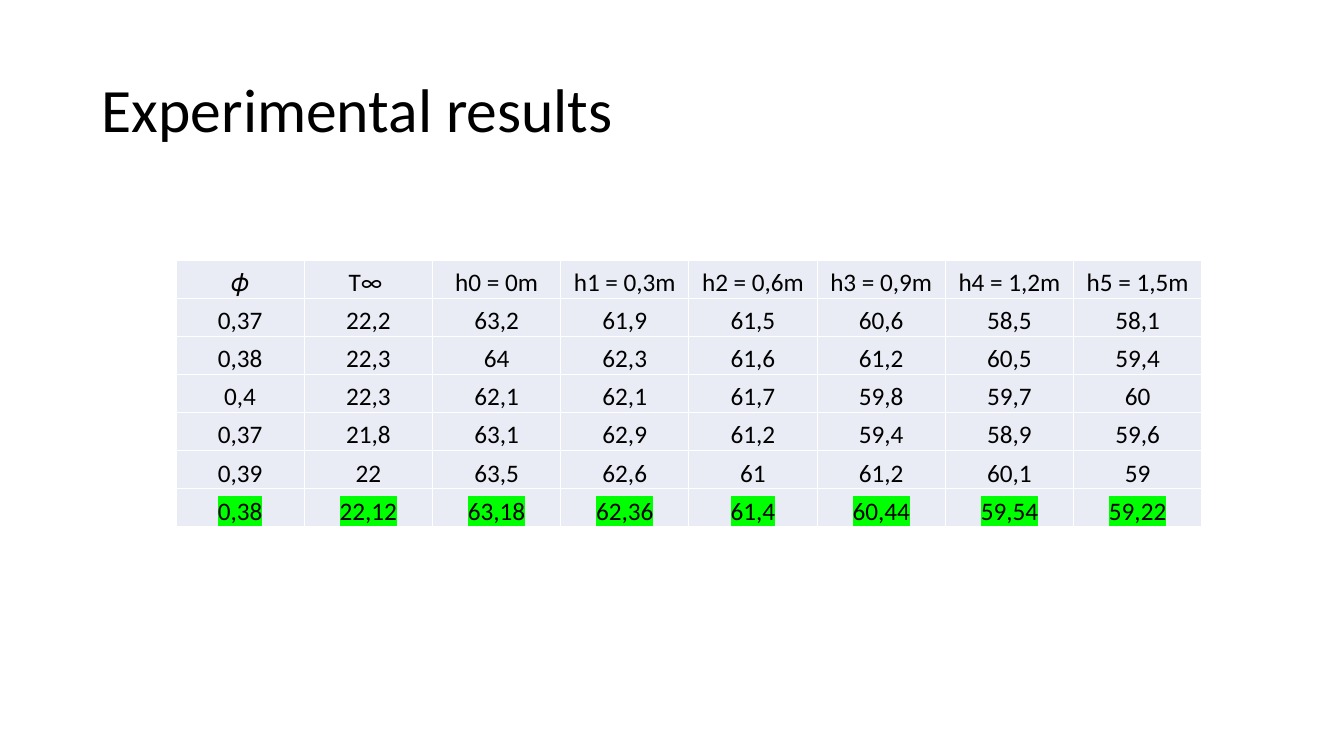
"""Build the slide with the table of experimental results."""
from lxml.etree import SubElement
from pptx import Presentation
from pptx.dml.color import RGBColor
from pptx.enum.text import MSO_ANCHOR, PP_ALIGN
from pptx.oxml.ns import qn
from pptx.util import Emu, Pt

TITLE = "Experimental results"
HEADINGS = ["𝜙", "T∞ ", "h0 = 0m", "h1 = 0,3m", "h2 = 0,6m", "h3 = 0,9m", "h4 = 1,2m", "h5 = 1,5m"]
MEASUREMENTS = [
    ["0,37", "22,2", "63,2", "61,9", "61,5", "60,6", "58,5", "58,1"],
    ["0,38", "22,3", "64", "62,3", "61,6", "61,2", "60,5", "59,4"],
    ["0,4", "22,3", "62,1", "62,1", "61,7", "59,8", "59,7", "60"],
    ["0,37", "21,8", "63,1", "62,9", "61,2", "59,4", "58,9", "59,6"],
    ["0,39", "22", "63,5", "62,6", "61", "61,2", "60,1", "59"],
]
AVERAGES = ["0,38", "22,12", "63,18", "62,36", "61,4", "60,44", "59,54", "59,22"]

COLORS = {"text": "000000", "cell": "E9EBF5", "border": "FFFFFF", "highlight": "00FF00"}
FONT = "Calibri"
SLIDE_SIZE = (1344, 756)
TITLE_BOX = (92, 40, 1159, 146)
TABLE_BOX = (176, 260, 1026, 267)


def px(length):
    return Emu(round(length * 914400 / 100.8))


def style_font(font, size):
    font.name = FONT
    font.size = Pt(size)
    font.color.rgb = RGBColor.from_string(COLORS["text"])


def add_solid_fill(parent, color):
    fill = SubElement(parent, qn("a:solidFill"))
    SubElement(fill, qn("a:srgbClr"), val=color)


def add_borders(cell):
    properties = cell._tc.get_or_add_tcPr()
    for side in ("lnL", "lnR", "lnT", "lnB"):
        border = SubElement(properties, qn(f"a:{side}"), w=str(Pt(1)))
        add_solid_fill(border, COLORS["border"])


def highlight(run):
    properties = run._r.get_or_add_rPr()
    marker = SubElement(properties, qn("a:highlight"))
    SubElement(marker, qn("a:srgbClr"), val=COLORS["highlight"])
    properties.find(qn("a:solidFill")).addnext(marker)


def add_title(slide):
    frame = slide.shapes.add_textbox(*map(px, TITLE_BOX)).text_frame
    frame.word_wrap = True
    frame.vertical_anchor = MSO_ANCHOR.MIDDLE
    frame.text = TITLE
    heading = frame.paragraphs[0]
    heading.line_spacing = 0.9
    style_font(heading.runs[0].font, 44)


def fill_cell(cell, value, is_average):
    cell.margin_left = cell.margin_right = cell.margin_top = px(1)
    cell.margin_bottom = 0
    cell.vertical_anchor = MSO_ANCHOR.BOTTOM
    add_borders(cell)
    cell.fill.solid()
    cell.fill.fore_color.rgb = RGBColor.from_string(COLORS["cell"])
    cell.text_frame.text = value
    paragraph = cell.text_frame.paragraphs[0]
    paragraph.alignment = PP_ALIGN.CENTER
    style_font(paragraph.runs[0].font, 18)
    if is_average:
        highlight(paragraph.runs[0])


def add_results(slide):
    rows = [HEADINGS, *MEASUREMENTS, AVERAGES]
    results = slide.shapes.add_table(len(rows), len(HEADINGS), *map(px, TABLE_BOX)).table
    results.first_row = results.horz_banding = False
    for column in results.columns:
        column.width = px(TABLE_BOX[2] / len(HEADINGS))
    for r, values in enumerate(rows):
        results.rows[r].height = px(TABLE_BOX[3] / len(rows))
        for c, value in enumerate(values):
            fill_cell(results.cell(r, c), value, values is AVERAGES)


def main():
    deck = Presentation()
    deck.slide_width, deck.slide_height = map(px, SLIDE_SIZE)
    slide = deck.slides.add_slide(deck.slide_layouts[6])
    add_title(slide)
    add_results(slide)
    deck.save("out.pptx")


if __name__ == "__main__":
    main()
